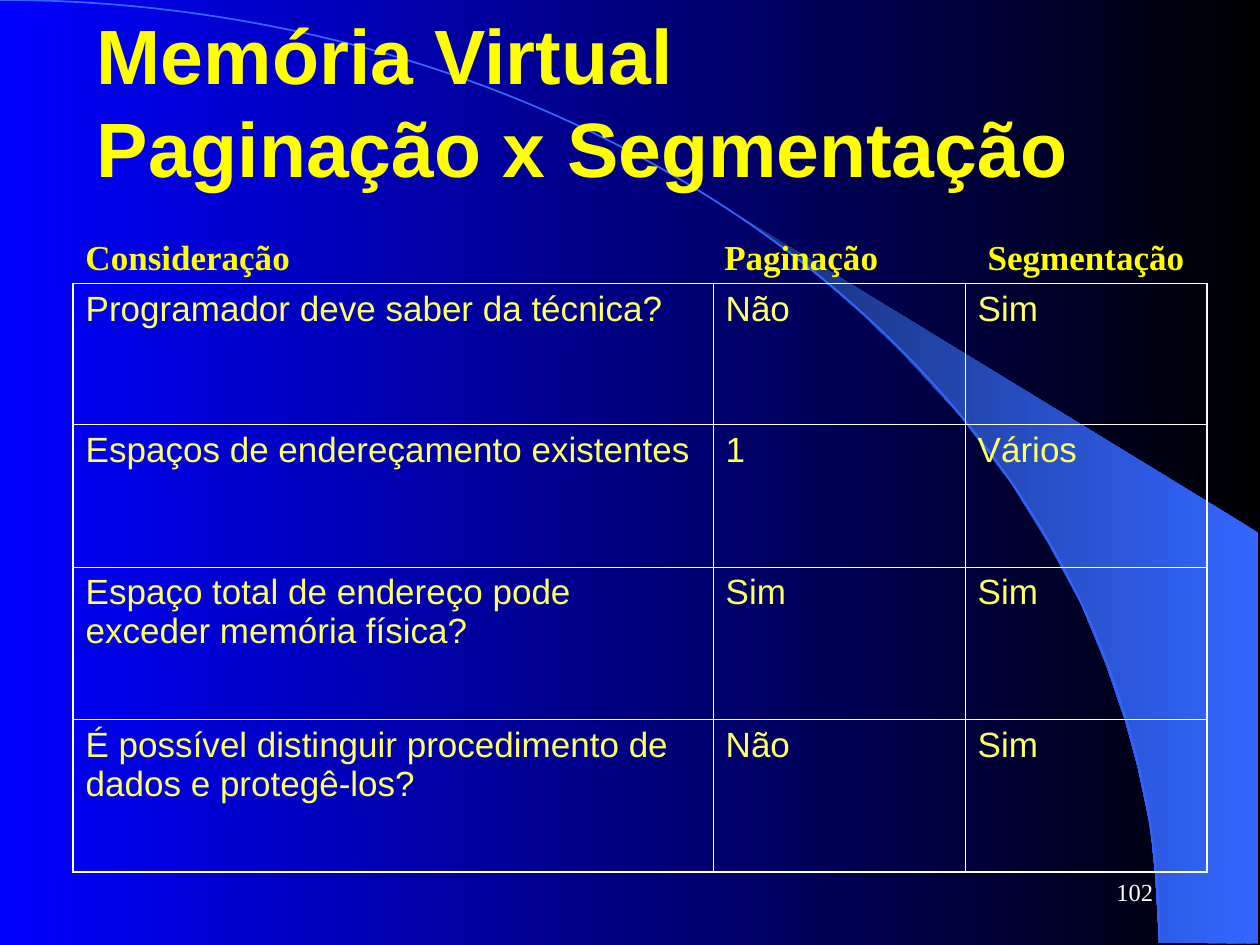
from dataclasses import dataclass

from lxml.etree import SubElement
from pptx import Presentation
from pptx.dml.color import RGBColor as RGB
from pptx.enum.shapes import MSO_SHAPE as SHAPE
from pptx.enum.text import MSO_ANCHOR as ANCHOR, MSO_AUTO_SIZE as AUTO, PP_ALIGN as ALIGN
from pptx.oxml.ns import qn
from pptx.util import Inches, Pt


@dataclass(frozen=True)
class Theme:
    black: str = "000000"
    blue: str = "0000FF"
    sky: str = "3366FF"
    navy: str = "172F75"
    white: str = "FFFFFF"
    yellow: str = "FFFF00"
    cream: str = "FFFF66"
    sans: str = "Arial"
    serif: str = "Times New Roman"
    title_size: int = 44
    body_size: int = 20
    number_size: int = 14
    outer_line: float = 1.08
    inner_line: float = 0.45


class SlideBuilder:
    def __init__(self, slide, theme):
        self.s = slide
        self.theme = theme

    def gradient(self, fill, first, last):
        """Run a linear gradient from the right edge to the left."""
        fill.gradient()
        fill.gradient_angle = 180
        for stop, color in zip(fill.gradient_stops, (first, last)):
            stop.color.rgb = RGB.from_string(color)

    def set_text(self, tf, text, size, font, color, bold=False, align=ALIGN.LEFT):
        p = tf.paragraphs[0]
        p.text = text
        p.alignment = align
        for r in p.runs:
            for name, value in {"size": Pt(size), "name": font, "bold": bold}.items():
                setattr(r.font, name, value)
            r.font.color.rgb = RGB.from_string(color)

    def text(self, box, text, *style, frame=None, **options):
        tf = self.s.shapes.add_textbox(*map(Inches, box)).text_frame
        for name, value in {"word_wrap": True, **(frame or {})}.items():
            setattr(tf, name, value)
        self.set_text(tf, text, *style, **options)

    def swoosh(self, points):
        builder = self.s.shapes.build_freeform(
            Inches(points[0][0]), Inches(points[0][1]), scale=1.0)
        builder.add_line_segments([(Inches(x), Inches(y)) for x, y in points[1:]])
        sp = builder.convert_to_shape()
        sp.shadow.inherit = False
        self.gradient(sp.fill, self.theme.sky, self.theme.navy)
        sp.line.fill.background()

    def arc(self, box):
        sp = self.s.shapes.add_shape(SHAPE.ARC, *map(Inches, box))
        sp.shadow.inherit = False
        sp.fill.background()
        sp.line.color.rgb = RGB.from_string(self.theme.sky)
        sp.line.width = Pt(1)

    def borders(self, cell, outer):
        """Rule all four sides, heavier on those flagged as outer."""
        tc_pr = cell._tc.get_or_add_tcPr()
        for side, is_outer in outer.items():
            width = self.theme.outer_line if is_outer else self.theme.inner_line
            ln = SubElement(tc_pr, qn(f"a:ln{side}"), w=str(Pt(width)))
            fill = SubElement(ln, qn("a:solidFill"))
            SubElement(fill, qn("a:srgbClr"), val=self.theme.white)

    def table(self, box, widths, heights, rows):
        t = self.theme
        last_row, last_col = len(heights) - 1, len(widths) - 1
        table = self.s.shapes.add_table(
            len(heights), len(widths), *map(Inches, box)).table
        table.first_row = table.horz_banding = False
        for column, width in zip(table.columns, widths):
            column.width = Inches(width)
        for row, height in zip(table.rows, heights):
            row.height = Inches(height)
        for i, row in enumerate(rows):
            for j, text in enumerate(row):
                cell = table.cell(i, j)
                self.borders(cell, {"L": j == 0, "R": j == last_col,
                                    "T": i == 0, "B": i == last_row})
                cell.fill.background()
                self.set_text(cell.text_frame, text, t.body_size, t.sans, t.cream)


SWOOSH = [
    (9.2, 7.48), (9.99, 7.49), (9.99, 4.23), (5.89, 1.73), (6.24, 1.99),
    (6.53, 2.22), (6.85, 2.5), (7.16, 2.8), (7.62, 3.3), (8.03, 3.84),
    (8.32, 4.31), (8.58, 4.79), (8.78, 5.28), (8.93, 5.72), (9.03, 6.09),
    (9.13, 6.56), (9.17, 6.96), (9.2, 7.48),
]
HEADERS = [
    ("Consideração", 0.58, 1.82),
    ("Paginação", 5.65, 1.42),
    ("Segmentação", 7.74, 1.76),
]
COMPARISON = [
    ("Programador deve saber da técnica?", "Não", "Sim"),
    ("Espaços de endereçamento existentes", "1", "Vários"),
    ("Espaço total de endereço pode exceder memória física?", "Sim", "Sim"),
    ("É possível distinguir procedimento de dados e protegê-los?", "Não", "Sim"),
]


def main():
    prs = Presentation()
    prs.slide_width, prs.slide_height = Inches(10), Inches(7.5)
    s = prs.slides.add_slide(prs.slide_layouts[6])
    t = Theme()
    b = SlideBuilder(s, t)

    b.gradient(s.background.fill, t.black, t.blue)
    b.swoosh(SWOOSH)
    b.arc((-9.2, 0, 18.4, 14.97))
    b.text((0.67, 0.17, 9, 1.25), "Memória Virtual\vPaginação x Segmentação",
           t.title_size, t.sans, t.yellow, bold=True,
           frame={"vertical_anchor": ANCHOR.MIDDLE})
    b.table((0.58, 2.25, 9, 4.67), (5.08, 2, 1.92), (1.12, 1.13, 1.21, 1.21),
            COMPARISON)
    for label, left, width in HEADERS:
        b.text((left, 1.82, width, 0.44), label, t.body_size, t.serif, t.yellow,
               bold=True, frame={"word_wrap": False,
                                 "auto_size": AUTO.SHAPE_TO_FIT_TEXT})
    b.text((7.17, 6.83, 2.08, 0.5), "102", t.number_size, t.serif, t.white,
           align=ALIGN.RIGHT, frame={"vertical_anchor": ANCHOR.MIDDLE})
    prs.save("out.pptx")


if __name__ == "__main__":
    main()
